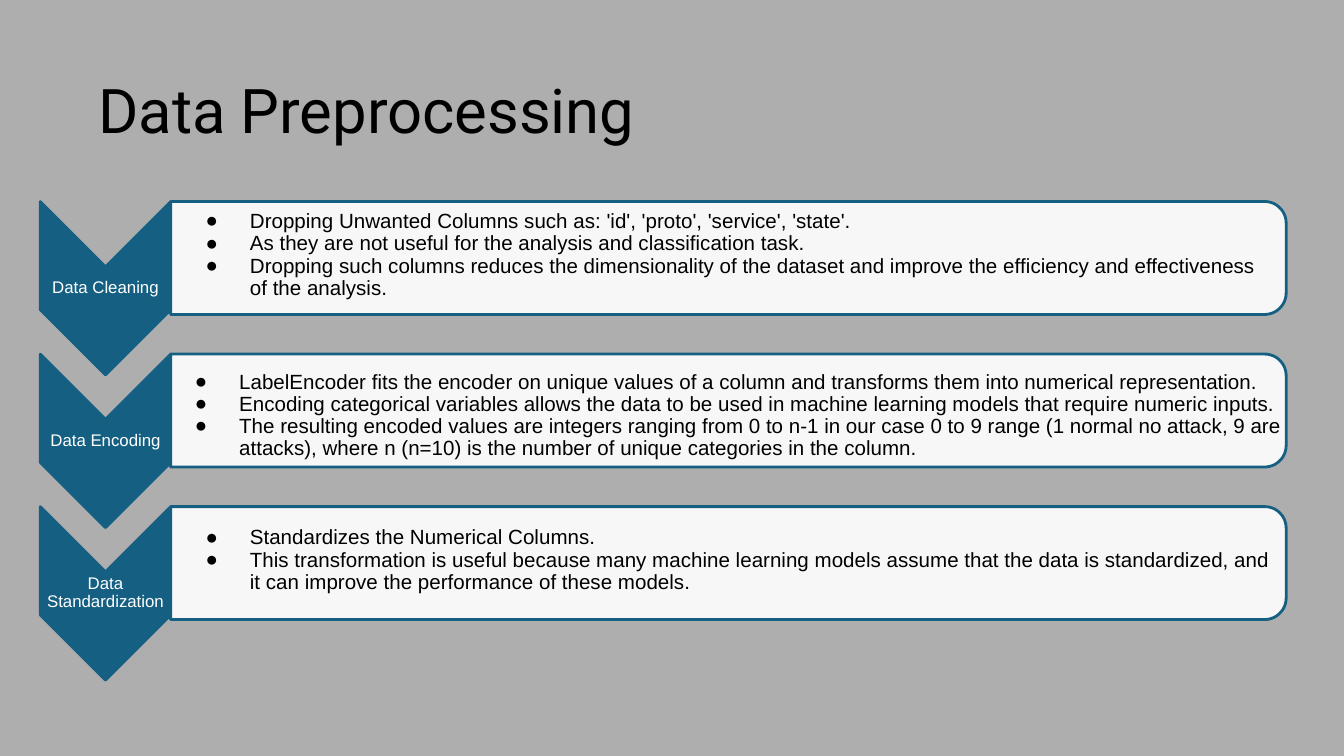
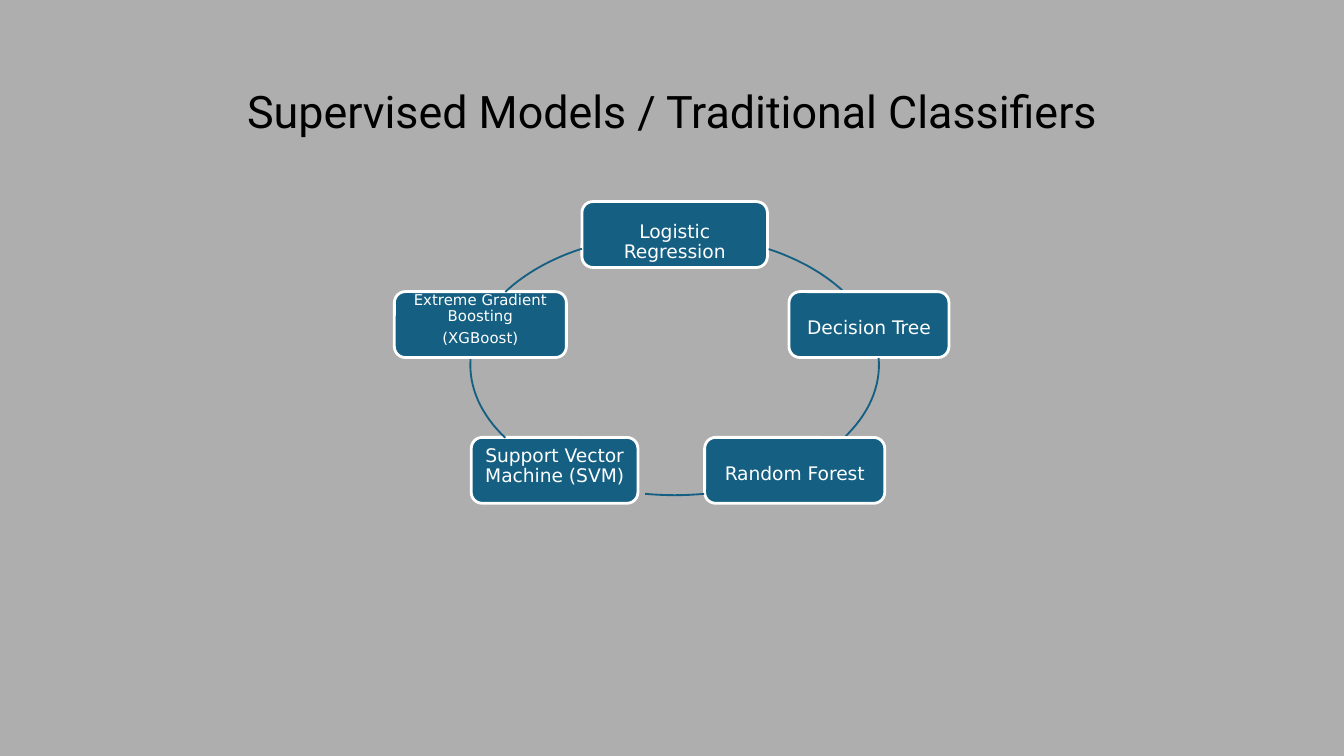
import math

from lxml import etree
from pptx import Presentation, util as u
from pptx.dml.color import RGBColor
from pptx.enum import shapes, text
from pptx.oxml import ns

COLUMNS = 100  # square grid cells across the slide, 0.1 inch each
GREY, TEAL, WHITE, BLACK = "AEAEAE", "156082", "FFFFFF", "000000"
TITLE_FONT, BODY_FONT, NODE_FONT = "Roboto", "Arial", "DejaVu Sans"
CENTER = text.PP_ALIGN.CENTER


def color(hex_code):
    return RGBColor.from_string(hex_code)


def arc(center, radii, start, end, steps=16):
    """Points on an ellipse, in degrees clockwise from the top."""
    angles = [math.radians(start + (end - start) * i / steps)
              for i in range(steps + 1)]
    return [(center[0] + radii[0] * math.sin(a),
             center[1] - radii[1] * math.cos(a)) for a in angles]


class Slides:
    """Shared style, and the page being filled; positions are grid cells."""

    def __init__(self):
        self.deck = Presentation()
        self.deck.slide_width, self.deck.slide_height = u.Pt(720), u.Pt(405)
        self.cell = self.deck.slide_width / COLUMNS
        self.page = None
        backdrop = self.deck.slide_master.background.fill
        backdrop.solid()
        backdrop.fore_color.rgb = color(GREY)

    def emu(self, *cells):
        return [round(value * self.cell) for value in cells]

    def frame(self, center, size):
        """Left, top, width and height around a centre."""
        return self.emu(center[0] - size[0] / 2, center[1] - size[1] / 2, *size)

    def set_lines(self, frame, lines, font, size, ink, align, margin=0.04, gap=0):
        frame.word_wrap = True
        frame.vertical_anchor = text.MSO_ANCHOR.MIDDLE
        frame.margin_left = frame.margin_right = u.Inches(margin)
        frame.margin_top = frame.margin_bottom = u.Inches(margin)
        for index, line in enumerate(lines):
            para = frame.add_paragraph() if index else frame.paragraphs[0]
            para.alignment = align
            para.line_spacing = 0.9
            para.space_before = u.Pt(gap if index else 0)
            span = para.add_run()
            span.text = line
            span.font.name, span.font.size = font, u.Pt(size)
            span.font.color.rgb = color(ink)

    def add_page(self, heading, size, align=text.PP_ALIGN.LEFT):
        self.page = self.deck.slides.add_slide(self.deck.slide_layouts[5])
        title = self.page.shapes.title
        title.left, title.top, title.width, title.height = self.emu(6.9, 3, 86.2, 10.9)
        self.set_lines(title.text_frame, [heading], TITLE_FONT, size, BLACK, align)
        title.text_frame.auto_size = text.MSO_AUTO_SIZE.NONE

    def words(self, center, size, lines, font, points, ink=WHITE, align=CENTER, **style):
        box = self.page.shapes.add_textbox(*self.frame(center, size))
        self.set_lines(box.text_frame, lines, font, points, ink, align, **style)
        box.text_frame.auto_size = text.MSO_AUTO_SIZE.SHAPE_TO_FIT_TEXT
        return box

    def bullets(self, center, size, lines):
        box = self.words(center, size, lines, BODY_FONT, 11, BLACK,
                         text.PP_ALIGN.LEFT, margin=0.01)
        for para in box.text_frame.paragraphs:
            props = para._p.get_or_add_pPr()
            props.set("marL", str(u.Inches(0.5)))
            props.set("indent", str(-u.Inches(0.33)))
            tint = etree.SubElement(props, ns.qn("a:buClr"))
            etree.SubElement(tint, ns.qn("a:srgbClr"), val=BLACK)
            etree.SubElement(props, ns.qn("a:buFont"), typeface=BODY_FONT)
            etree.SubElement(props, ns.qn("a:buChar"), char="●")

    def paint(self, shape, fill, line, weight=1.5):
        shape.shadow.inherit = False
        if fill:
            shape.fill.solid()
            shape.fill.fore_color.rgb = color(fill)
        else:
            shape.fill.background()
        shape.line.color.rgb = color(line)
        shape.line.width = u.Pt(weight)

    def preset(self, kind, center, size, adjust, line, turn=0):
        shape = self.page.shapes.add_shape(kind, *self.frame(center, size))
        shape.adjustments[0] = adjust
        shape.rotation = turn
        self.paint(shape, TEAL, line)

    def outline(self, points, close, fill, weight):
        points = [self.emu(*point) for point in points]
        builder = self.page.shapes.build_freeform(*points[0])
        builder.add_line_segments(points[1:], close=close)
        shape = builder.convert_to_shape()
        self.paint(shape, fill, TEAL, weight)
        return shape

    def panel(self, left, right, middle, height):
        """A translucent box with its two right corners rounded."""
        top, bottom, radius = middle - height / 2, middle + height / 2, 1.6
        upper = arc((right - radius, top + radius), (radius, radius), 0, 90)
        lower = arc((right - radius, bottom - radius), (radius, radius), 90, 180)
        points = [(left, top), *upper, *lower, (left, bottom)]
        shape = self.outline(points, True, WHITE, 1.5)
        tint = shape._element.find(".//" + ns.qn("a:srgbClr"))
        etree.SubElement(tint, ns.qn("a:alpha"), val="90000")


def preprocessing(slides):
    slides.add_page("Data Preprocessing", 33)
    # label, label height, text centre x, text width, text height, text shift, lines
    steps = [
        ("Data Cleaning", 1.5, 54.35, 81.7, 6.8, -0.2, [
            "Dropping Unwanted Columns such as: 'id', 'proto', 'service', 'state'.",
            "As they are not useful for the analysis and classiﬁcation task.",
            "Dropping such columns reduces the dimensionality of the dataset and "
            "improve the efﬁciency and effectiveness of the analysis."]),
        ("Data Encoding", 1.5, 56.35, 87.3, 6.8, 0.4, [
            "LabelEncoder ﬁts the encoder on unique values of a column and "
            "transforms them into numerical representation.",
            "Encoding categorical variables allows the data to be used in machine "
            "learning models that require numeric inputs.",
            "The resulting encoded values are integers ranging from 0 to n-1 in our "
            "case 0 to 9 range (1 normal no attack, 9 are attacks), where n (n=10) "
            "is the number of unique categories in the column."]),
        ("Data Standardization", 2.9, 54.35, 81.7, 5.1, -0.2, [
            "Standardizes the Numerical Columns.",
            "This transformation is useful because many machine learning models "
            "assume that the data is standardized, and it can improve the "
            "performance of these models."]),
    ]
    for index, (label, label_height, x, width, height, shift, lines) in enumerate(steps):
        middle = 19.2 + 11.35 * index
        tip = (7.85, middle + 2.25)
        slides.preset(shapes.MSO_SHAPE.CHEVRON, tip, (12.9, 9.7), 0.5, TEAL, turn=90)
        slides.words(tip, (9.7, label_height), [label], BODY_FONT, 9, margin=0.01)
        slides.panel(12.7, 95.7, middle, 8.4)
        slides.bullets((x, middle + shift), (width, height), lines)


def classifiers(slides):
    slides.add_page("Supervised Models / Traditional Classiﬁers", 24, CENTER)
    center, radii = (50.2, 27.15), (15.2, 9.7)
    # lines, node width, text height, text shift, font size, arc to the next node
    nodes = [
        (["Logistic Regression"], 13.8, 3.9, 0.6, 10, (27.4, 56)),
        (["Decision Tree"], 11.9, 2.3, 0.3, 10, (87, 124)),
        (["Random Forest"], 13.4, 2.3, 0.3, 10, (171.7, 188.3)),
        (["Support Vector Machine (SVM)"], 12.4, 3.9, -0.3, 10, (236, 272.5)),
        (["Extreme Gradient Boosting", "(XGBoost)"], 12.8, 4.8, -0.35, 8, (304, 333)),
    ]
    for index, (lines, width, height, shift, size, link) in enumerate(nodes):
        angle = 360 / len(nodes) * index
        x, y = arc(center, radii, angle, angle, 1)[0]
        slides.preset(shapes.MSO_SHAPE.ROUNDED_RECTANGLE, (x, y), (width, 4.9),
                      0.167, WHITE)
        slides.words((x, y + shift), (width - 0.7, height), lines, NODE_FONT, size,
                     margin=0.03 if size < 10 else 0.04, gap=3)
        slides.outline(arc(center, radii, *link), False, None, 1)


def main():
    slides = Slides()
    preprocessing(slides)
    classifiers(slides)
    slides.deck.save("out.pptx")


if __name__ == "__main__":
    main()
